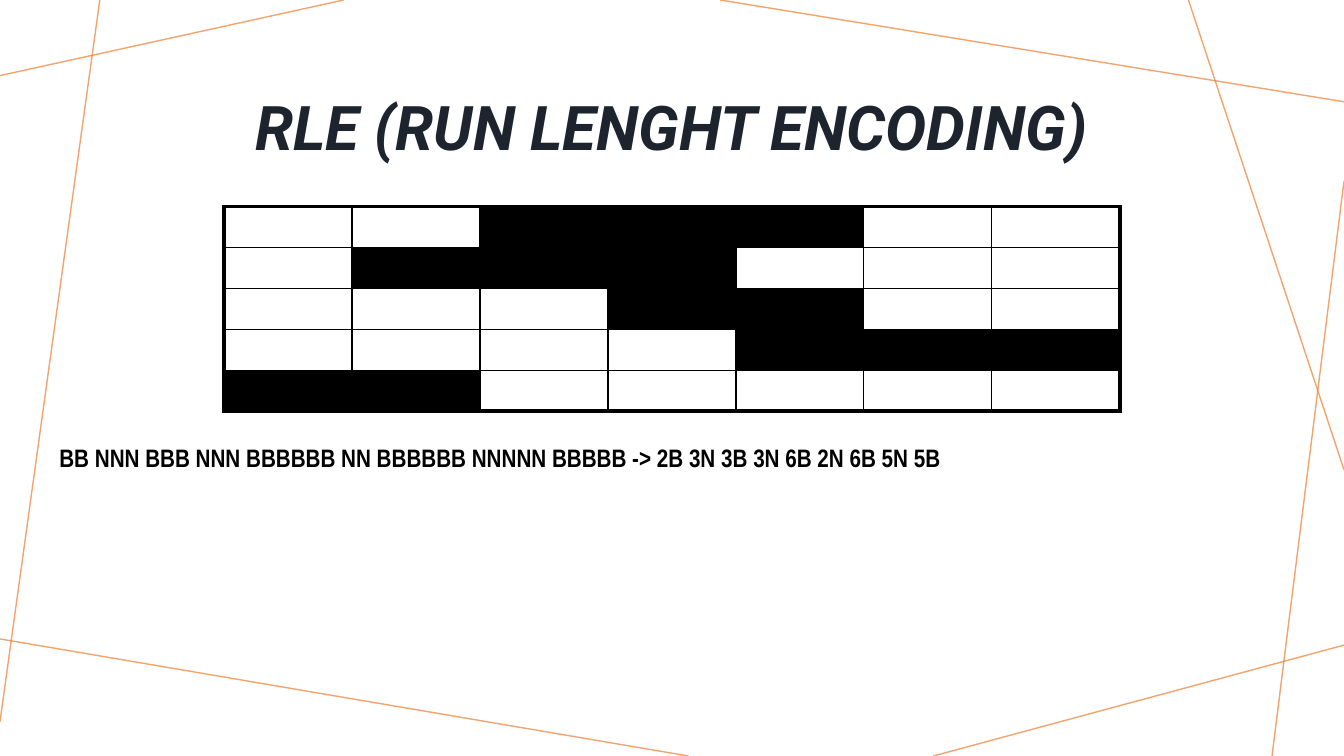
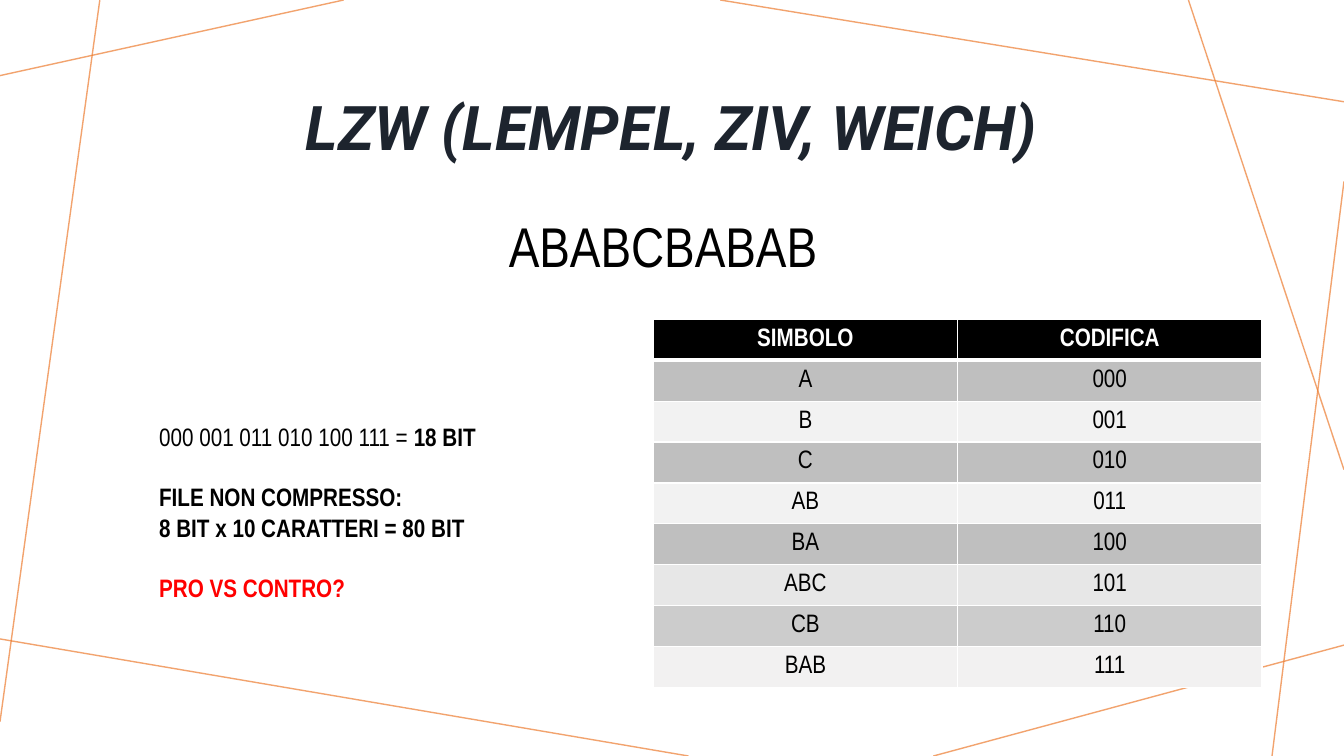
"""Build two slides on RLE and LZW compression."""
from dataclasses import dataclass
from itertools import groupby

from lxml import etree
from pptx import Presentation
from pptx.dml.color import RGBColor
from pptx.enum.shapes import MSO_CONNECTOR
from pptx.enum.text import MSO_ANCHOR, PP_ALIGN
from pptx.oxml.ns import qn
from pptx.util import Pt

STRAIGHT = MSO_CONNECTOR.STRAIGHT
TOP, MIDDLE = MSO_ANCHOR.TOP, MSO_ANCHOR.MIDDLE
LEFT, CENTER = PP_ALIGN.LEFT, PP_ALIGN.CENTER


@dataclass(frozen=True)
class Theme:
    """Hold the colours, fonts and sizes of the deck."""
    title_font: str = "Roboto"
    body_font: str = "Arial Narrow"
    title_size: float = 44
    sample_size: float = 40
    body_size: float = 18
    title_color: str = "1D242E"
    black: str = "000000"
    white: str = "FFFFFF"
    alert: str = "FF0000"
    accent: str = "ED7D31"
    accent_alpha: int = 70000
    thin: float = 1
    thick: float = 3
    row_height: float = 29.2
    blank_line: float = 21.5


THEME = Theme()
SLIDE_WIDTH, SLIDE_HEIGHT = 960, 540
TITLE_BOX = (90, 38.9, 780, 108.7)
BACKGROUND_LINES = (
    (245.5, 0, 0, 54),
    (71.3, 0, 0, 515.5),
    (491.8, SLIDE_HEIGHT, 0, 456.4),
    (SLIDE_WIDTH, 460.8, 666.7, SLIDE_HEIGHT),
    (SLIDE_WIDTH, 129.6, 908.6, SLIDE_HEIGHT),
    (SLIDE_WIDTH, 335.5, 848.9, 0),
    (SLIDE_WIDTH, 72.7, 514.5, 0),
)
BITMAP = ("BBNNNBB", "BNNNBBB", "BBBNNBB", "BBBBNNN", "NNBBBBB")
CODES = (
    ("SIMBOLO", "CODIFICA", "000000"),
    ("A", "000", "BFBFBF"),
    ("B", "001", "F2F2F2"),
    ("C", "010", "BFBFBF"),
    ("AB", "011", "F2F2F2"),
    ("BA", "100", "BFBFBF"),
    ("ABC", "101", "E7E7E7"),
    ("CB", "110", "CCCCCC"),
    ("BAB", "111", "F2F1F1"),
)


def add_span(para, text, *, size=THEME.body_size, font=THEME.body_font,
             color=THEME.black, bold=False, italic=False):
    """Append formatted text to a paragraph."""
    span = para.add_run()
    span.text = text
    span.font.size = Pt(size)
    span.font.name = font
    span.font.bold = bold
    span.font.italic = italic
    span.font.color.rgb = RGBColor.from_string(color)


def add_text_box(slide, area, paragraphs, align=LEFT, anchor=TOP, spacing=1.0):
    """Add a box from (space before, spans) paragraphs."""
    box = slide.shapes.add_textbox(*map(Pt, area))
    frame = box.text_frame
    frame.word_wrap = True
    frame.vertical_anchor = anchor
    for index, (space_before, spans) in enumerate(paragraphs):
        para = frame.add_paragraph() if index else frame.paragraphs[0]
        para.alignment = align
        para.line_spacing = spacing
        para.space_before = Pt(space_before)
        for text, style in spans:
            add_span(para, text, **style)


def add_background_line(slide, ends):
    """Draw one translucent accent line."""
    line = slide.shapes.add_connector(STRAIGHT, *map(Pt, ends))
    line.line.width = Pt(THEME.thin)
    line.line.color.rgb = RGBColor.from_string(THEME.accent)
    properties = line._element.spPr
    color = properties.find(".//" + qn("a:srgbClr"))
    etree.SubElement(color, qn("a:alpha"), val=str(THEME.accent_alpha))
    etree.SubElement(properties, qn("a:effectLst"))


def add_titled_slide(deck, title):
    """Add a slide with the shared lines and title."""
    slide = deck.slides.add_slide(deck.slide_layouts[6])
    for ends in BACKGROUND_LINES:
        add_background_line(slide, ends)
    style = {"size": THEME.title_size, "font": THEME.title_font,
             "color": THEME.title_color, "bold": True, "italic": True}
    add_text_box(slide, TITLE_BOX, [(0, [(title, style)])],
                 align=CENTER, anchor=MIDDLE, spacing=0.9)
    return slide


def set_cell_borders(cell, color, thick_sides):
    """Outline a cell, with the named sides thick."""
    properties = cell._tc.get_or_add_tcPr()
    for side in "LRTB":
        width = THEME.thick if side in thick_sides else THEME.thin
        line = etree.SubElement(properties, qn(f"a:ln{side}"), w=str(Pt(width)))
        fill = etree.SubElement(line, qn("a:solidFill"))
        etree.SubElement(fill, qn("a:srgbClr"), val=color)


def add_grid(slide, left, top, column_width, row_count, column_count):
    """Add a plain table with equal rows and columns."""
    frame = slide.shapes.add_table(
        row_count, column_count, Pt(left), Pt(top),
        Pt(column_width * column_count), Pt(THEME.row_height * row_count))
    table = frame.table
    table.first_row = False
    table.horz_banding = False
    for column in table.columns:
        column.width = Pt(column_width)
    for row in table.rows:
        row.height = Pt(THEME.row_height)
    return table


def format_cell(cell, fill, border, thick_sides):
    """Set the borders and then the fill of a cell."""
    set_cell_borders(cell, border, thick_sides)
    cell.fill.solid()
    cell.fill.fore_color.rgb = RGBColor.from_string(fill)


def add_bitmap(slide):
    """Draw the black and white pixels in a thick frame."""
    last_row, last_column = len(BITMAP) - 1, len(BITMAP[0]) - 1
    table = add_grid(slide, 160, 147.6, 91.43, len(BITMAP), len(BITMAP[0]))
    for row, pixels in enumerate(BITMAP):
        for column, pixel in enumerate(pixels):
            outer = {"L": column == 0, "R": column == last_column,
                     "T": row == 0, "B": row == last_row}
            thick_sides = [side for side, is_outer in outer.items() if is_outer]
            fill = THEME.black if pixel == "N" else THEME.white
            format_cell(table.cell(row, column), fill, THEME.black, thick_sides)


def add_code_table(slide):
    """Draw the table of symbols and codes."""
    table = add_grid(slide, 466.6, 228.2, 217.4, len(CODES), 2)
    for row, (*texts, fill) in enumerate(CODES):
        is_header = row == 0
        thick_sides = {0: "B", 1: "T"}.get(row, "")
        for column, text in enumerate(texts):
            cell = table.cell(row, column)
            format_cell(cell, fill, THEME.white, thick_sides)
            cell.vertical_anchor = MIDDLE
            para = cell.text_frame.paragraphs[0]
            para.alignment = CENTER
            add_span(para, text, bold=is_header,
                     color=THEME.white if is_header else THEME.black)


def build_rle_slide(deck):
    """Show a bitmap and its run lengths."""
    slide = add_titled_slide(deck, "RLE (RUN LENGHT ENCODING)")
    add_bitmap(slide)
    runs = ["".join(group) for _, group in groupby("".join(BITMAP))]
    codes = [f"{len(run)}{run[0]}" for run in runs]
    text = f"{' '.join(runs)} -> {' '.join(codes)}"
    add_text_box(slide, (35.3, 312.5, 890, 29),
                 [(0, [(text, {"bold": True})])])


def build_lzw_slide(deck):
    """Show a sample, its dictionary and the size gained."""
    slide = add_titled_slide(deck, "LZW (LEMPEL, ZIV, WEICH)")
    add_text_box(slide, (356.4, 147.6, 247.7, 55.4),
                 [(0, [("ABABCBABAB", {"size": THEME.sample_size})])])
    add_code_table(slide)
    bold = {"bold": True}
    add_text_box(slide, (106.6, 297.4, 360, 138), [
        (0, [("000 001 011 010 100 111 = ", {}), ("18 BIT", bold)]),
        (THEME.blank_line, [("FILE NON COMPRESSO:", bold)]),
        (0, [("8 BIT x 10 CARATTERI = 80 BIT", bold)]),
        (THEME.blank_line,
         [("PRO VS CONTRO?", {"bold": True, "color": THEME.alert})]),
    ])


def main():
    """Build and save the deck."""
    deck = Presentation()
    deck.slide_width = Pt(SLIDE_WIDTH)
    deck.slide_height = Pt(SLIDE_HEIGHT)
    build_rle_slide(deck)
    build_lzw_slide(deck)
    deck.save("out.pptx")


if __name__ == "__main__":
    main()
